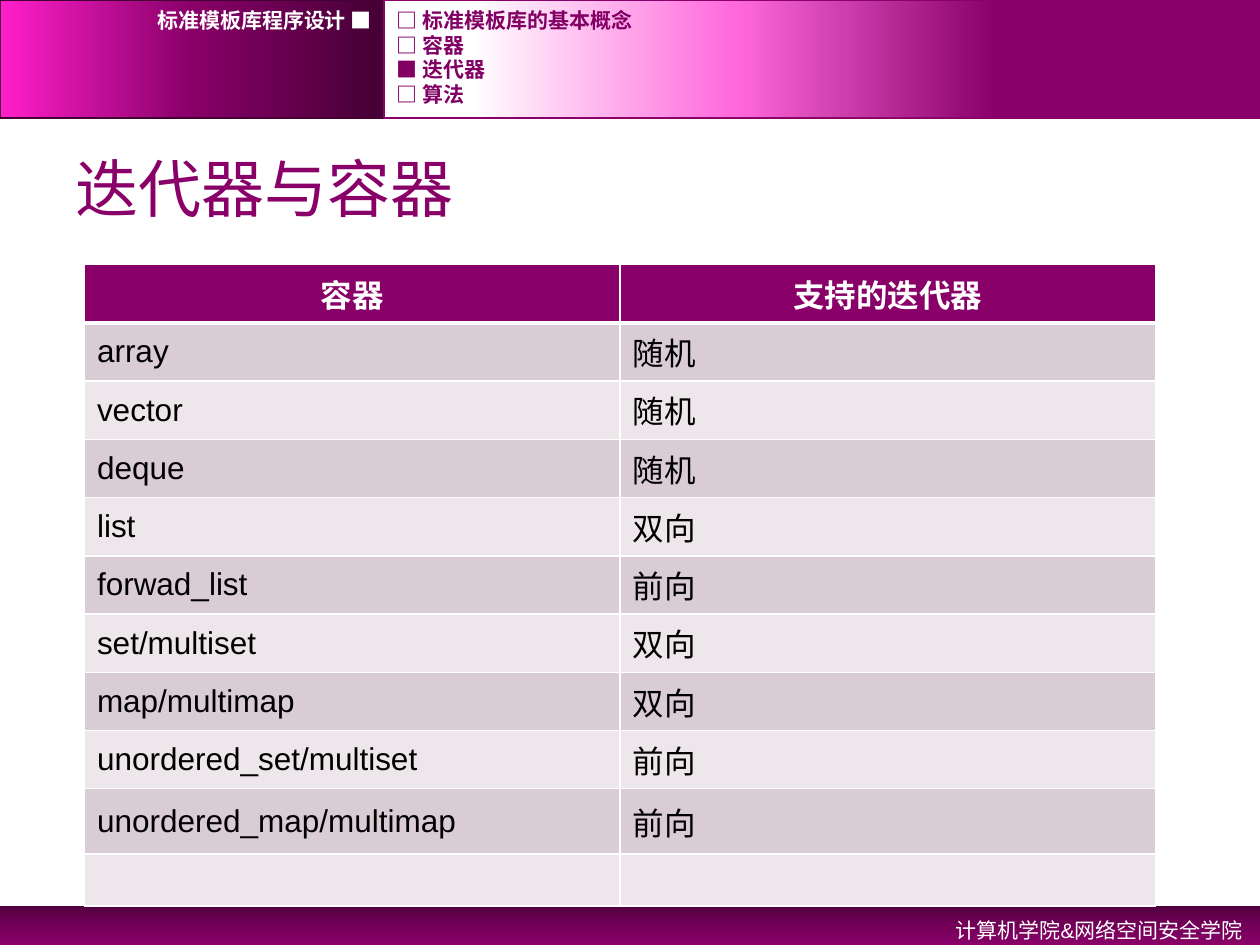
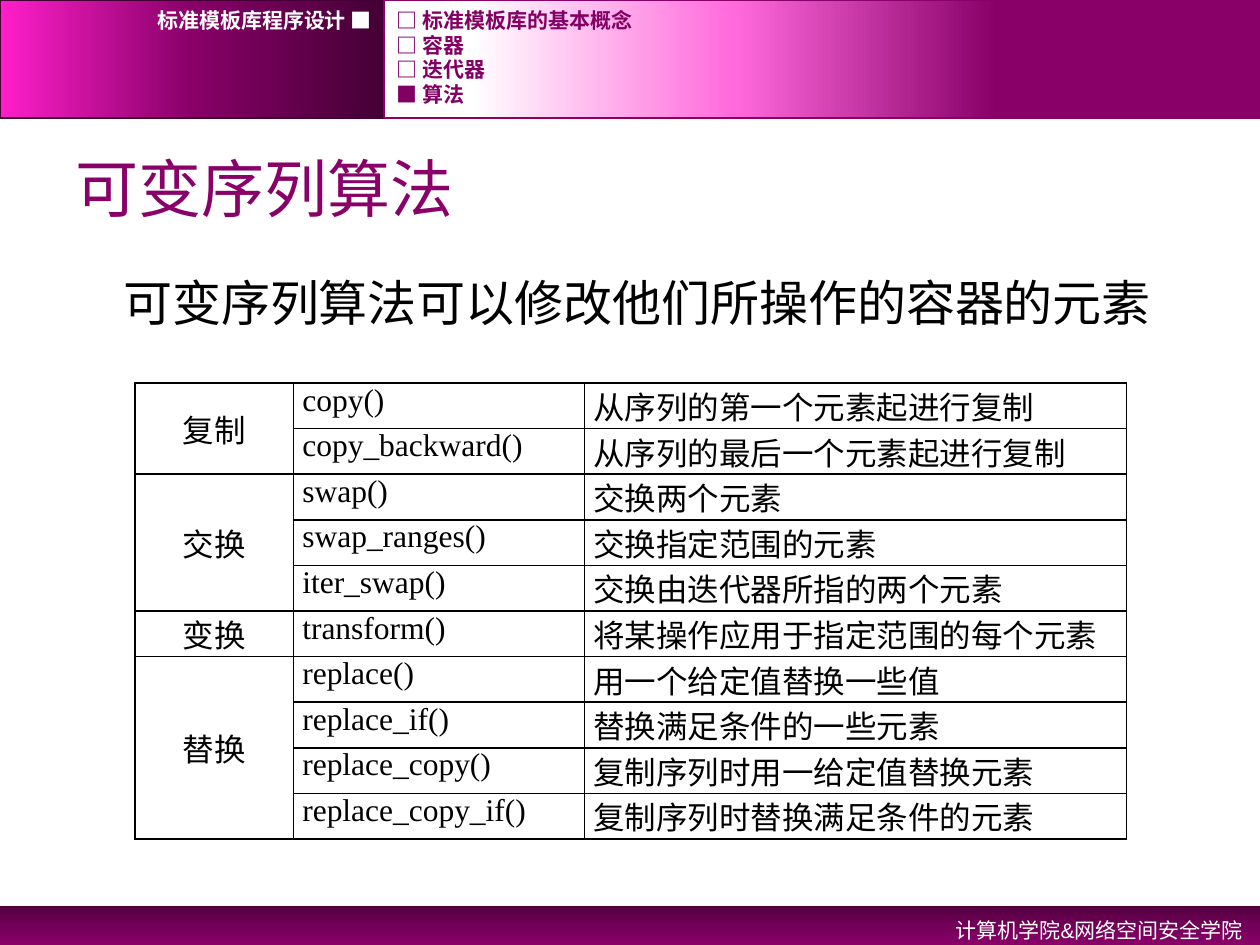
from lxml import etree
from pptx import Presentation
from pptx.dml.color import RGBColor
from pptx.enum.shapes import MSO_SHAPE
from pptx.enum.text import MSO_ANCHOR, PP_ALIGN
from pptx.oxml.ns import qn
from pptx.util import Inches, Pt

RECTANGLE = MSO_SHAPE.RECTANGLE
TOP, MIDDLE = MSO_ANCHOR.TOP, MSO_ANCHOR.MIDDLE
LEFT, CENTER, RIGHT, JUSTIFY = PP_ALIGN.LEFT, PP_ALIGN.CENTER, PP_ALIGN.RIGHT, PP_ALIGN.JUSTIFY

WIDTH, HEIGHT = 10, 7.5
MARGIN = WIDTH / 20
CONTENT_WIDTH = WIDTH - 2 * MARGIN
HEADER_HEIGHT = HEIGHT / 8
HEADER_SPLIT = 3.05
AGENDA_TOP, AGENDA_STEP = 0.06, 0.195
FOOTER_TOP = 7.19

COLORS = {
    "plum": "880068",
    "agenda": "820064",
    "dark": "440034",
    "footer_dark": "51003E",
    "footer_mid": "730058",
    "magenta": "FF1FCA",
    "pink": "FF69DC",
    "white": "FFFFFF",
    "black": "000000",
    "odd_row": "DACCD4",
    "even_row": "EDE7EB",
}

COURSE = "标准模板库程序设计"
DEPARTMENT = "计算机学院&网络空间安全学院"
AGENDA = ["标准模板库的基本概念", "容器", "迭代器", "算法"]

CONTAINER_HEADINGS = ("容器", "支持的迭代器")
CONTAINERS = [
    ("array", "随机"),
    ("vector", "随机"),
    ("deque", "随机"),
    ("list", "双向"),
    ("forwad_list", "前向"),
    ("set/multiset", "双向"),
    ("map/multimap", "双向"),
    ("unordered_set/multiset", "前向"),
    ("unordered_map/multimap", "前向"),
    ("", ""),
]

ALGORITHMS = {
    "复制": [
        ("copy()", "从序列的第一个元素起进行复制"),
        ("copy_backward()", "从序列的最后一个元素起进行复制"),
    ],
    "交换": [
        ("swap()", "交换两个元素"),
        ("swap_ranges()", "交换指定范围的元素"),
        ("iter_swap()", "交换由迭代器所指的两个元素"),
    ],
    "变换": [("transform()", "将某操作应用于指定范围的每个元素")],
    "替换": [
        ("replace()", "用一个给定值替换一些值"),
        ("replace_if()", "替换满足条件的一些元素"),
        ("replace_copy()", "复制序列时用一给定值替换元素"),
        ("replace_copy_if()", "复制序列时替换满足条件的元素"),
    ],
}


def rgb(color):
    return RGBColor.from_string(COLORS[color])


def style_paragraph(paragraph, size, color, font="Arial", bold=False, align=LEFT):
    paragraph.alignment = align
    paragraph.font.size = Pt(size)
    paragraph.font.name = font
    paragraph.font.bold = bold
    paragraph.font.color.rgb = rgb(color)


def add_text(slide, box, text, size, color, anchor=MIDDLE, **style):
    """Add one line of text and return its paragraph."""
    frame = slide.shapes.add_textbox(*map(Inches, box)).text_frame
    frame.word_wrap = True
    frame.vertical_anchor = anchor
    paragraph = frame.paragraphs[0]
    paragraph.text = text
    style_paragraph(paragraph, size, color, **style)
    return paragraph


def add_band(slide, box, stops, angle, line=None):
    """Add a gradient rectangle; stops are (percent, color), angle is clockwise."""
    band = slide.shapes.add_shape(RECTANGLE, *map(Inches, box))
    band.shadow.inherit = False
    band.fill.gradient()
    band.fill.gradient_angle = 360 - angle
    stop_list = next(band._element.iter(qn("a:gsLst")))
    for stop in list(stop_list):
        stop_list.remove(stop)
    for percent, color in stops:
        stop = etree.SubElement(stop_list, qn("a:gs"), pos=str(percent * 1000))
        etree.SubElement(stop, qn("a:srgbClr"), val=COLORS[color])
    if line:
        band.line.color.rgb = rgb(line)
        band.line.width = Pt(1)
    else:
        band.line.fill.background()


def add_slide(prs, title, current):
    """Add a slide with bands, agenda, footer and title."""
    slide = prs.slides.add_slide(prs.slide_layouts[6])
    add_band(slide, (0, FOOTER_TOP, WIDTH, HEIGHT - FOOTER_TOP),
             [(0, "footer_dark"), (50, "footer_mid"), (100, "plum")], 90)
    add_band(slide, (0, 0, HEADER_SPLIT, HEADER_HEIGHT),
             [(0, "dark"), (50, "plum"), (100, "magenta")], 180, "dark")
    add_band(slide, (HEADER_SPLIT, 0, WIDTH - HEADER_SPLIT, HEADER_HEIGHT),
             [(30, "plum"), (60, "pink"), (90, "white")], 180, "plum")
    department = add_text(slide, (6.41, FOOTER_TOP, 3.55, 0.32), DEPARTMENT, 12, "white",
                          anchor=TOP, align=RIGHT)
    department.line_spacing = 1.2
    add_text(slide, (MARGIN, 1.1, CONTENT_WIDTH, 0.78), title, 36, "plum")
    for index, topic in enumerate(AGENDA):
        marker = "■" if topic == current else "□"
        add_text(slide, (HEADER_SPLIT, AGENDA_TOP + index * AGENDA_STEP, 6.02, 0.2),
                 f"{marker} {topic}", 12, "agenda", font="Courier New", bold=True)
    add_text(slide, (0, AGENDA_TOP, HEADER_SPLIT, 0.2), f"{COURSE} ■", 12, "white",
             font="Courier New", bold=True, align=RIGHT)
    return slide


def add_grid(slide, left, top, column_widths, row_heights):
    """Add a table without any built-in banding."""
    table = slide.shapes.add_table(
        len(row_heights), len(column_widths), Inches(left), Inches(top),
        Inches(sum(column_widths)), Inches(sum(row_heights))).table
    table.first_row = table.horz_banding = False
    for column, width in zip(table.columns, column_widths):
        column.width = Inches(width)
    for row, height in zip(table.rows, row_heights):
        row.height = Inches(height)
    return table


def set_borders(cell, color, **widths):
    """Draw all four sides 1 pt wide, except those named in widths."""
    properties = cell._tc.get_or_add_tcPr()
    for side in "LRTB":
        line = etree.SubElement(properties, qn(f"a:ln{side}"), w=str(Pt(widths.get(side, 1))))
        fill = etree.SubElement(line, qn("a:solidFill"))
        etree.SubElement(fill, qn("a:srgbClr"), val=COLORS[color])


def fill_cell(cell, text, color, anchor=MIDDLE, **style):
    cell.text = text
    cell.vertical_anchor = anchor
    style_paragraph(cell.text_frame.paragraphs[0], 18, color, **style)


def add_container_table(slide):
    regular_rows = len(CONTAINERS) - 1
    heights = [4.16 / regular_rows] * regular_rows + [0.52, 0.41]
    table = add_grid(slide, 0.67, 2.1, [4.25, 4.25], heights)
    for row, texts in enumerate([CONTAINER_HEADINGS, *CONTAINERS]):
        for column, text in enumerate(texts):
            cell = table.cell(row, column)
            if row == 0:
                set_borders(cell, "white", B=3)
                background = "plum"
                fill_cell(cell, text, "white", bold=True, align=CENTER)
            else:
                set_borders(cell, "white", T=3 if row == 1 else 1)
                background = "odd_row" if row % 2 else "even_row"
                fill_cell(cell, text, "black")
            cell.fill.solid()
            cell.fill.fore_color.rgb = rgb(background)


def add_algorithm_table(slide):
    row_count = sum(map(len, ALGORITHMS.values()))
    table = add_grid(slide, 1.07, 3.04, [1.26, 2.31, 4.3], [3.62 / row_count] * row_count)
    for cell in table.iter_cells():
        set_borders(cell, "black")
        cell.fill.background()
        cell.margin_left = cell.margin_right = Inches(0.07)
        cell.margin_top = cell.margin_bottom = 0
    font = "Times New Roman"
    row = 0
    for category, functions in ALGORITHMS.items():
        category_cell = table.cell(row, 0)
        if len(functions) > 1:
            category_cell.merge(table.cell(row + len(functions) - 1, 0))
        fill_cell(category_cell, category, "black", font=font, align=CENTER)
        for texts in functions:
            for column, text in enumerate(texts, start=1):
                fill_cell(table.cell(row, column), text, "black", anchor=TOP,
                          font=font, align=JUSTIFY)
            row += 1


def main():
    prs = Presentation()
    prs.slide_width, prs.slide_height = Inches(WIDTH), Inches(HEIGHT)

    containers = add_slide(prs, "迭代器与容器", "迭代器")
    add_container_table(containers)

    algorithms = add_slide(prs, "可变序列算法", "算法")
    summary = add_text(algorithms, (MARGIN, 2.11, CONTENT_WIDTH, 4.92),
                       "可变序列算法可以修改他们所操作的容器的元素", 28, "black", anchor=TOP)
    summary._p.get_or_add_pPr().set("marL", str(Inches(0.38)))
    add_algorithm_table(algorithms)

    prs.save("out.pptx")


if __name__ == "__main__":
    main()
